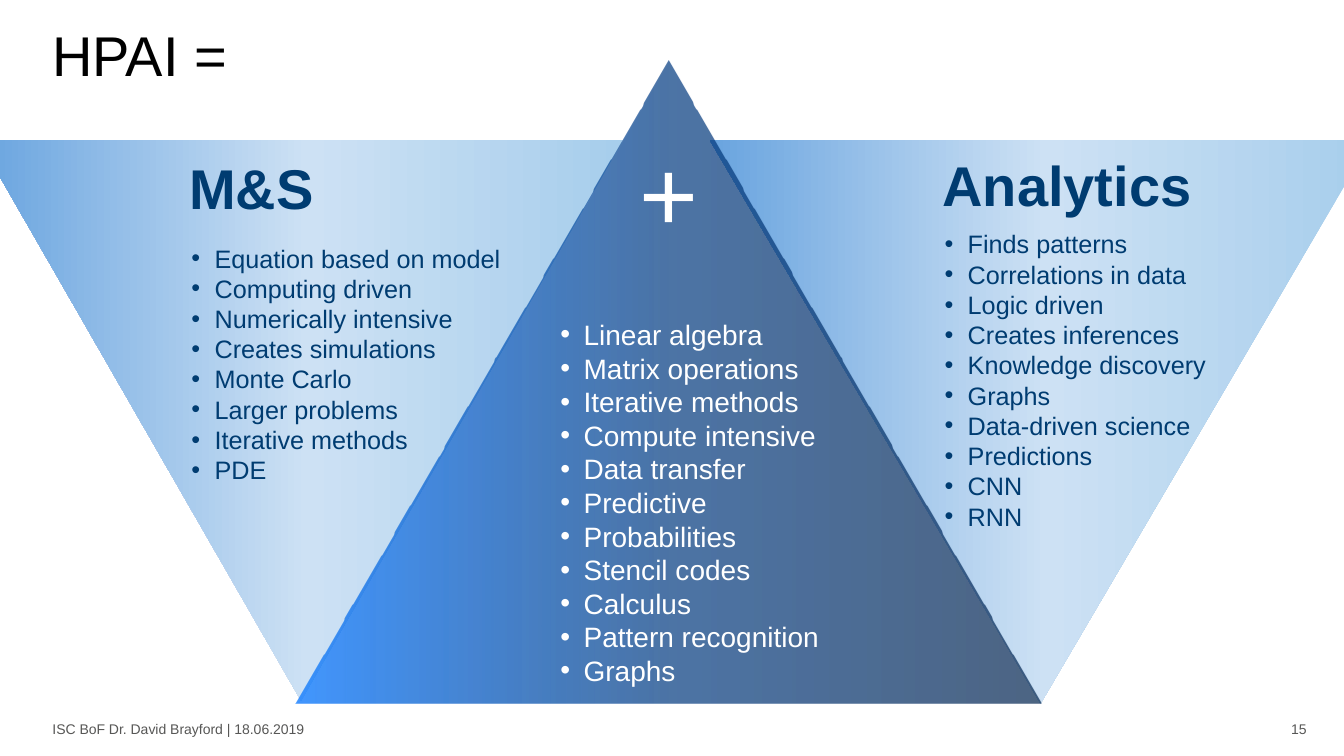
from dataclasses import dataclass

from pptx import Presentation
from pptx.dml.color import RGBColor
from pptx.enum.shapes import MSO_SHAPE
from pptx.enum.text import MSO_ANCHOR, PP_ALIGN
from pptx.oxml import parse_xml
from pptx.oxml.ns import nsdecls
from pptx.util import Inches, Pt


@dataclass(frozen=True)
class Theme:
    """Colours, type sizes and gradients of the slide."""
    font: str = "Arial"
    black: str = "000000"
    navy: str = "003C71"
    white: str = "FFFFFF"
    grey: str = "575756"
    footer: int = 10
    body: int = 18
    core: int = 20
    heading: int = 40
    plus: int = 72
    pale: tuple = ((0, "A7CEEC", 100), (49, "CDE1F4", 100), (100, "69A4DF", 100))
    deep: tuple = ((0, "137DFF", 80), (50, "003980", 70), (100, "00234E", 70))


THEME = Theme()

SIMULATION = ["Equation based on model", "Computing driven", "Numerically intensive",
              "Creates simulations", "Monte Carlo", "Larger problems",
              "Iterative methods", "PDE"]
ANALYTICS = ["Finds patterns", "Correlations in data", "Logic driven",
             "Creates inferences", "Knowledge discovery", "Graphs",
             "Data-driven science", "Predictions", "CNN", "RNN"]
SHARED = ["Linear algebra", "Matrix operations", "Iterative methods",
          "Compute intensive", "Data transfer", "Predictive", "Probabilities",
          "Stencil codes", "Calculus", "Pattern recognition", "Graphs"]


def add_bullet(p):
    """Give a paragraph a hanging round bullet."""
    pPr = p._p.get_or_add_pPr()
    pPr.set("marL", str(Inches(0.23)))
    pPr.set("indent", str(Inches(-0.23)))
    pPr.append(parse_xml(f'<a:buFont {nsdecls("a")} typeface="{THEME.font}"/>'))
    pPr.append(parse_xml(f'<a:buChar {nsdecls("a")} char="•"/>'))


def add_text(slide, box, lines, size, color, bold=False, align=PP_ALIGN.LEFT,
             anchor=MSO_ANCHOR.TOP, bullets=False, inset=True, wrap=True, spacing=None):
    """Add a text box with one paragraph per line."""
    tf = slide.shapes.add_textbox(*map(Inches, box)).text_frame
    tf.word_wrap = wrap
    tf.vertical_anchor = anchor
    if not inset:
        tf.margin_left = tf.margin_right = tf.margin_top = tf.margin_bottom = 0
    for i, line in enumerate(lines):
        p = tf.add_paragraph() if i else tf.paragraphs[0]
        p.alignment = align
        if spacing:
            p.line_spacing = spacing
        if bullets:
            add_bullet(p)
        r = p.add_run()
        r.text = line
        r.font.name = THEME.font
        r.font.size = Pt(size)
        r.font.bold = bold
        r.font.color.rgb = RGBColor.from_string(color)


def add_triangle(slide, box, stops, rotation=0):
    """Add a borderless triangle with a horizontal gradient."""
    s = slide.shapes.add_shape(MSO_SHAPE.ISOSCELES_TRIANGLE, *map(Inches, box))
    s.rotation = rotation
    s.shadow.inherit = False
    s.line.fill.background()
    gs = "".join(f'<a:gs pos="{pos * 1000}"><a:srgbClr val="{color}">'
                 f'<a:alpha val="{alpha * 1000}"/></a:srgbClr></a:gs>'
                 for pos, color, alpha in stops)
    s._element.spPr.insert(2, parse_xml(
        f'<a:gradFill {nsdecls("a")} rotWithShape="1"><a:gsLst>{gs}</a:gsLst>'
        '<a:lin ang="0" scaled="0"/></a:gradFill>'))


def add_footer(slide):
    """Add the event line and the page number."""
    style = dict(size=THEME.footer, color=THEME.grey, anchor=MSO_ANCHOR.MIDDLE, inset=False)
    add_text(slide, (12.61, 7.15, 0.35, 0.17), ["15"], align=PP_ALIGN.RIGHT, **style)
    add_text(slide, (0.52, 7.15, 2.6, 0.17), ["ISC BoF Dr. David Brayford | 18.06.2019"],
             wrap=False, **style)


def add_side(slide, triangle, heading_box, heading, list_box, items):
    """Add a pale inverted triangle with its heading and list."""
    add_triangle(slide, triangle, THEME.pale, rotation=180)
    add_text(slide, heading_box, [heading], THEME.heading, THEME.navy, bold=True)
    add_text(slide, list_box, items, THEME.body, THEME.navy, bullets=True)


def add_core(slide):
    """Add the dark central triangle with the plus sign and shared topics."""
    add_triangle(slide, (2.93, 0.6, 7.4, 6.38), THEME.deep)
    add_text(slide, (5.87, 1.25, 1.53, 1.31), ["+"], THEME.plus, THEME.white,
             align=PP_ALIGN.CENTER)
    add_text(slide, (5.46, 3.1, 2.78, 3.8), SHARED, THEME.core, THEME.white, bullets=True)


def main():
    """Build the slide and save it."""
    prs = Presentation()
    prs.slide_width, prs.slide_height = Inches(13.33), Inches(7.5)
    slide = prs.slides.add_slide(prs.slide_layouts[6])
    add_footer(slide)
    add_text(slide, (0.52, 0.49, 11.46, 0.39), ["HPAI ="], THEME.heading, THEME.black,
             anchor=MSO_ANCHOR.BOTTOM, inset=False, spacing=0.9)
    add_side(slide, (-0.21, 1.39, 6.39, 5.56), (1.78, 1.47, 2.06, 0.77), "M&S",
             (1.8, 2.36, 3.49, 2.52), SIMULATION)
    add_side(slide, (7.04, 1.39, 6.56, 5.59), (9.25, 1.44, 2.69, 1.08), "Analytics",
             (9.27, 2.22, 2.94, 3.13), ANALYTICS)
    add_core(slide)
    prs.save("out.pptx")


if __name__ == "__main__":
    main()
